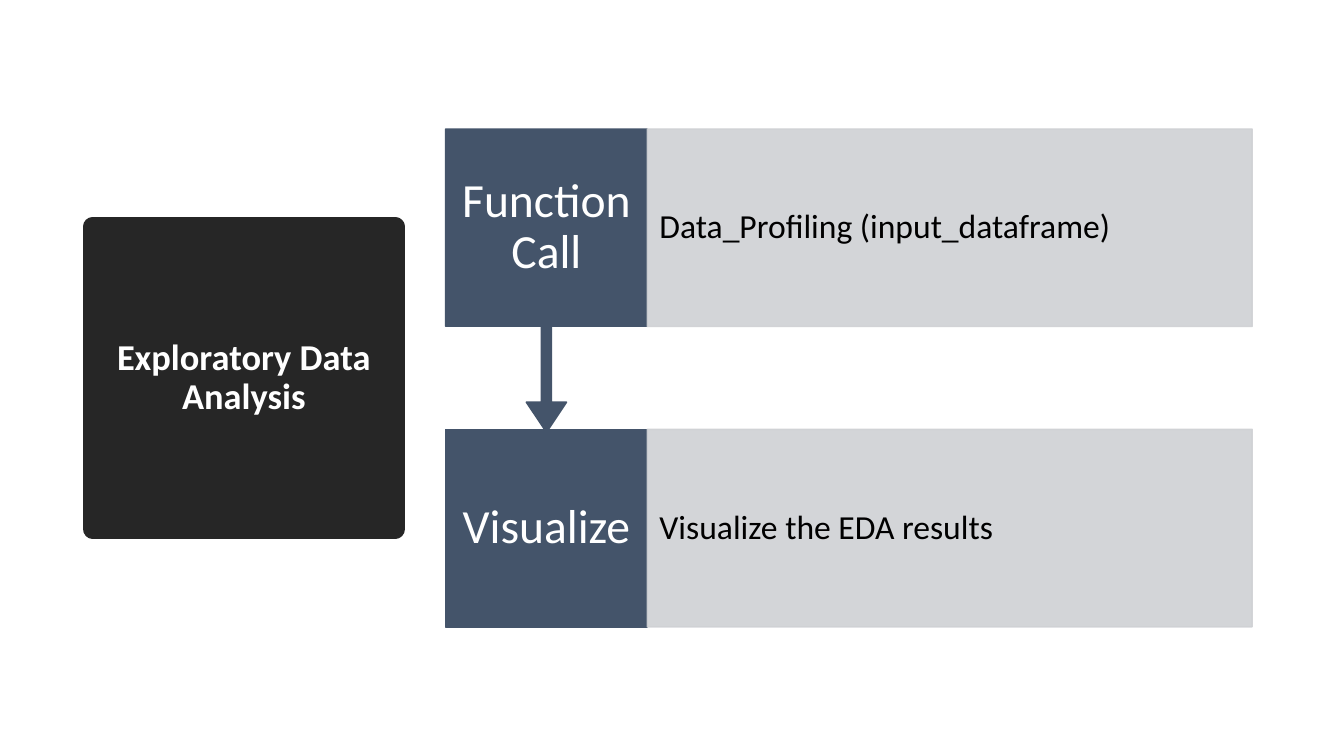
from lxml import etree
from pptx import Presentation
from pptx.dml.color import RGBColor
from pptx.enum.shapes import MSO_SHAPE as Shape
from pptx.enum.text import MSO_ANCHOR as Anchor, PP_ALIGN as Align
from pptx.oxml.ns import qn
from pptx.util import Inches, Pt

CHARCOAL = RGBColor(0x26, 0x26, 0x26)
SLATE = RGBColor(0x44, 0x54, 0x6A)
PALE_GREY = RGBColor(0xCF, 0xD1, 0xD4)
WHITE = RGBColor(0xFF, 0xFF, 0xFF)
BLACK = RGBColor(0, 0, 0)

STEPS = [
    ("Function Call", "Data_Profiling (input_dataframe)"),
    ("Visualize", "Visualize the EDA results"),
]
LABEL_WIDTH = 2
STEP_HEIGHT = 1.96
ARROW_HEIGHT = 1.05
ARROW_ADJUSTMENTS = (0.05, 0.1, 0.15, 0.65)


def add_panel(slide, kind, box, color, text, font, align=Align.CENTER,
              insets=(0.1, 0.05), line_width=1):
    """Add a filled shape with one paragraph of vertically centred text."""
    panel = slide.shapes.add_shape(kind, *map(Inches, box))
    panel.shadow.inherit = False
    panel.fill.solid()
    panel.fill.fore_color.rgb = color
    panel.line.color.rgb = color
    panel.line.width = Pt(line_width)
    frame = panel.text_frame
    frame.word_wrap = True
    frame.vertical_anchor = Anchor.MIDDLE
    frame.margin_left = frame.margin_right = Inches(insets[0])
    frame.margin_top = frame.margin_bottom = Inches(insets[1])
    paragraph = frame.paragraphs[0]
    paragraph.text = text
    paragraph.alignment = align
    paragraph.line_spacing = 0.9
    paragraph.font.color.rgb = font["color"]
    for attribute in ("name", "size", "bold"):
        setattr(paragraph.font, attribute, font[attribute])
    return panel


def text_format(size, color, bold=False):
    return {"name": "Calibri", "size": Pt(size), "color": color, "bold": bold}


def add_title(slide, box):
    title = add_panel(slide, Shape.RECTANGLE, box, CHARCOAL,
                      "Exploratory Data Analysis",
                      text_format(26, WHITE, True), line_width=13.75)
    etree.SubElement(title.line._get_or_add_ln(), qn("a:round"))


def make_translucent(panel, opacity):
    """Set the opacity, in percent, of both fill and outline."""
    for color in panel._element.spPr.iter(qn("a:srgbClr")):
        etree.SubElement(color, qn("a:alpha"), val=str(opacity * 1000))


def add_step(slide, box, label, detail, leads_on):
    """Add a label and its detail; an arrow below leads on to the next step."""
    left, top, width, height = box
    kind = Shape.DOWN_ARROW_CALLOUT if leads_on else Shape.RECTANGLE
    label_height = height + ARROW_HEIGHT if leads_on else height
    label_panel = add_panel(slide, kind, (left, top, LABEL_WIDTH, label_height),
                            SLATE, label, text_format(34, WHITE),
                            insets=(0.14, 0.26))
    if leads_on:
        for index, value in enumerate(ARROW_ADJUSTMENTS):
            label_panel.adjustments[index] = value
    detail_panel = add_panel(
        slide, Shape.RECTANGLE,
        (left + LABEL_WIDTH, top, width - LABEL_WIDTH, height),
        PALE_GREY, detail, text_format(24, BLACK), Align.LEFT, (0.12, 0.33))
    make_translucent(detail_panel, 90)


def add_process(slide, box):
    left, top, width, height = box
    pitch = (height - STEP_HEIGHT) / (len(STEPS) - 1)
    # Last step first, so that each arrow tip lies over the step it points to.
    for index, (label, detail) in reversed(list(enumerate(STEPS))):
        add_step(slide, (left, top + index * pitch, width, STEP_HEIGHT),
                 label, detail, leads_on=index < len(STEPS) - 1)


def main():
    deck = Presentation()
    deck.slide_width, deck.slide_height = Inches(13.33), Inches(7.5)
    slide = deck.slides.add_slide(deck.slide_layouts[6])
    add_title(slide, (0.92, 2.25, 3, 3))
    add_process(slide, (4.42, 1.28, 8, 4.94))
    deck.save("out.pptx")


if __name__ == "__main__":
    main()
